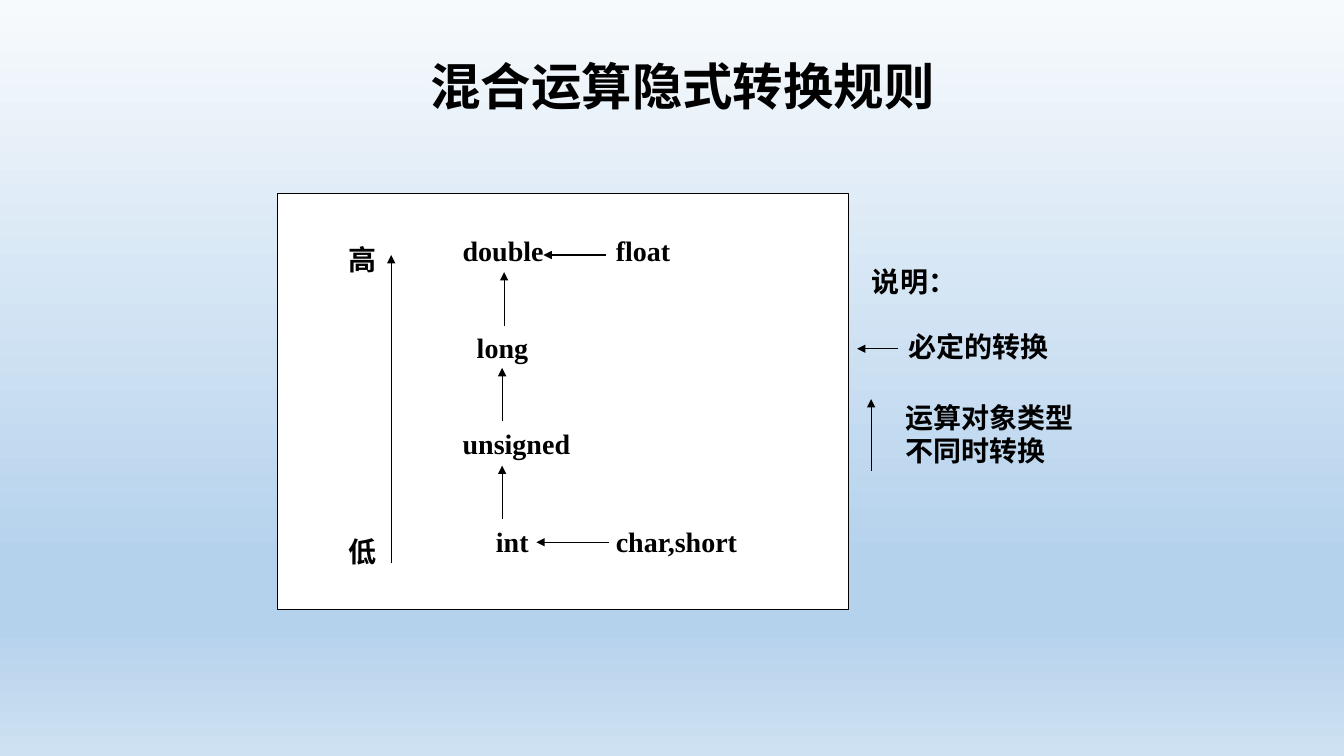
import copy

import pptx
import pptx.util
import pptx.dml.color
import pptx.enum.shapes
import pptx.enum.text
import pptx.oxml
import pptx.oxml.ns
from pptx.util import Inches

RGB = pptx.dml.color.RGBColor
BLACK = RGB(0, 0, 0)
WHITE = RGB(255, 255, 255)
SKY = [(0, RGB(0xF7, 0xFA, 0xFD)), (0.74, RGB(0xB5, 0xD2, 0xEC)),
       (0.83, RGB(0xB5, 0xD2, 0xEC)), (1, RGB(0xCE, 0xE1, 0xF2))]
LATIN = "Times New Roman"
HAN = "Noto Sans CJK SC"
RECT = pptx.enum.shapes.MSO_SHAPE.RECTANGLE
ALIGN = pptx.enum.text.PP_ALIGN
ANCHOR = pptx.enum.text.MSO_ANCHOR
FIT = pptx.enum.text.MSO_AUTO_SIZE

TYPES = [("double", 4.49, 2.27, 1.01), ("float", 6.01, 2.27, 0.74),
         ("long", 4.63, 3.23, 0.71), ("unsigned", 4.49, 4.18, 1.27),
         ("int", 4.82, 5.15, 0.55), ("char,short", 6.01, 5.15, 1.43),
         ("低", 3.36, 5.25, 0.48), ("高", 3.36, 2.36, 0.48)]
STEPS = [(5, 3.23, 5, 2.7), (4.98, 4.18, 4.98, 3.65), (4.98, 5.15, 4.98, 4.62),
         (6.01, 2.53, 5.39, 2.53), (6.04, 5.38, 5.32, 5.38),
         (3.88, 5.59, 3.88, 2.53)]
NOTES = [("说明：", 8.55, 2.58, 1.08, 0.43, True),
         ("必定的转换", 8.91, 3.22, 1.6, 0.43, False),
         ("运算对象类型\n不同时转换", 8.88, 3.92, 2.24, 0.77, True)]
KEYS = [(8.91, 3.46, 8.5, 3.46), (8.64, 4.67, 8.64, 3.96)]


def tag(parent, name, **attrs):
    child = pptx.oxml.parse_xml(
        f"<{name} {pptx.oxml.ns.nsdecls('a')}/>")
    for key, value in attrs.items():
        child.set(key, value)
    parent.append(child)


def write(frame, text, size=20, face=LATIN, align=ALIGN.LEFT,
          anchor=ANCHOR.TOP, wrap=False, fit=FIT.SHAPE_TO_FIT_TEXT, space=1.0):
    frame.text = text
    frame.word_wrap = wrap
    frame.auto_size = fit
    frame.vertical_anchor = anchor
    for para in frame.paragraphs:
        para.alignment = align
        para.line_spacing = space
        for run in para.runs:
            font = run.font
            font.name = face
            font.size = pptx.util.Pt(size)
            font.bold = True
            font.color.rgb = BLACK
            tag(font._element, "a:ea", typeface=HAN)


def box(shapes, left, top, width, height, edge=False):
    shape = shapes.add_shape(RECT, *map(Inches, (left, top, width, height)))
    shape.shadow.inherit = False
    shape.fill.solid()
    shape.fill.fore_color.rgb = WHITE
    if edge:
        shape.line.color.rgb = BLACK
        shape.line.width = pptx.util.Pt(0.75)
    else:
        shape.line.fill.background()
    return shape


def arrow(shapes, *ends):
    link = shapes.add_connector(
        pptx.enum.shapes.MSO_CONNECTOR.STRAIGHT, *map(Inches, ends))
    link.line.color.rgb = BLACK
    link.line.width = pptx.util.Pt(0.75)
    tag(link.line._get_or_add_ln(), "a:tailEnd", type="triangle")
    tag(link._element.spPr, "a:effectLst")


def backdrop(slide):
    fill = slide.background.fill
    fill.gradient()
    fill.gradient_angle = 270
    stops = slide._element.find(".//" + pptx.oxml.ns.qn("a:gsLst"))
    while len(stops) < len(SKY):
        stops.append(copy.deepcopy(stops[0]))
    for stop, (place, color) in zip(fill.gradient_stops, SKY):
        stop.position = place
        stop.color.rgb = color


def heading(slide, text):
    title = slide.shapes.title
    title.left, title.top, title.width, title.height = map(
        Inches, (2.93, 0.23, 7.68, 1.31))
    write(title.text_frame, text, size=36, face=HAN, align=ALIGN.CENTER,
          anchor=ANCHOR.MIDDLE, wrap=True, fit=FIT.NONE, space=0.9)


def diagram(shapes):
    box(shapes, 2.75, 1.92, 5.67, 4.13, edge=True)
    for text, left, top, width in TYPES:
        write(box(shapes, left, top, width, 0.43).text_frame, text)
    for ends in STEPS:
        arrow(shapes, *ends)


def legend(shapes):
    for text, left, top, width, height, wrap in NOTES:
        note = shapes.add_textbox(*map(Inches, (left, top, width, height)))
        write(note.text_frame, text, wrap=wrap)
    for ends in KEYS:
        arrow(shapes, *ends)


def main():
    deck = pptx.Presentation()
    deck.slide_width = Inches(13.33)
    deck.slide_height = Inches(7.5)
    slide = deck.slides.add_slide(deck.slide_layouts[5])
    backdrop(slide)
    heading(slide, "混合运算隐式转换规则")
    diagram(slide.shapes.add_group_shape().shapes)
    legend(slide.shapes.add_group_shape().shapes)
    deck.save("out.pptx")


if __name__ == "__main__":
    main()
